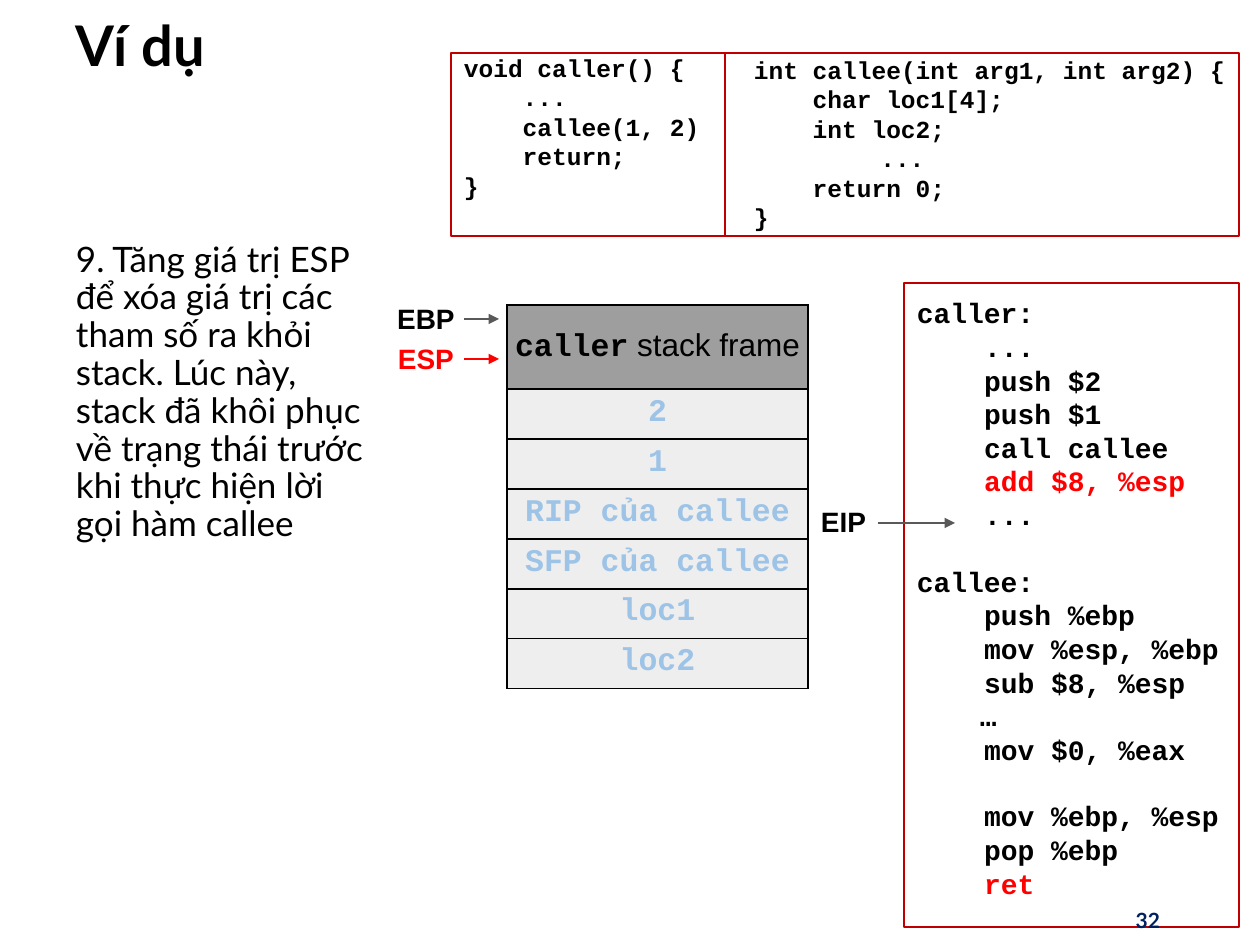
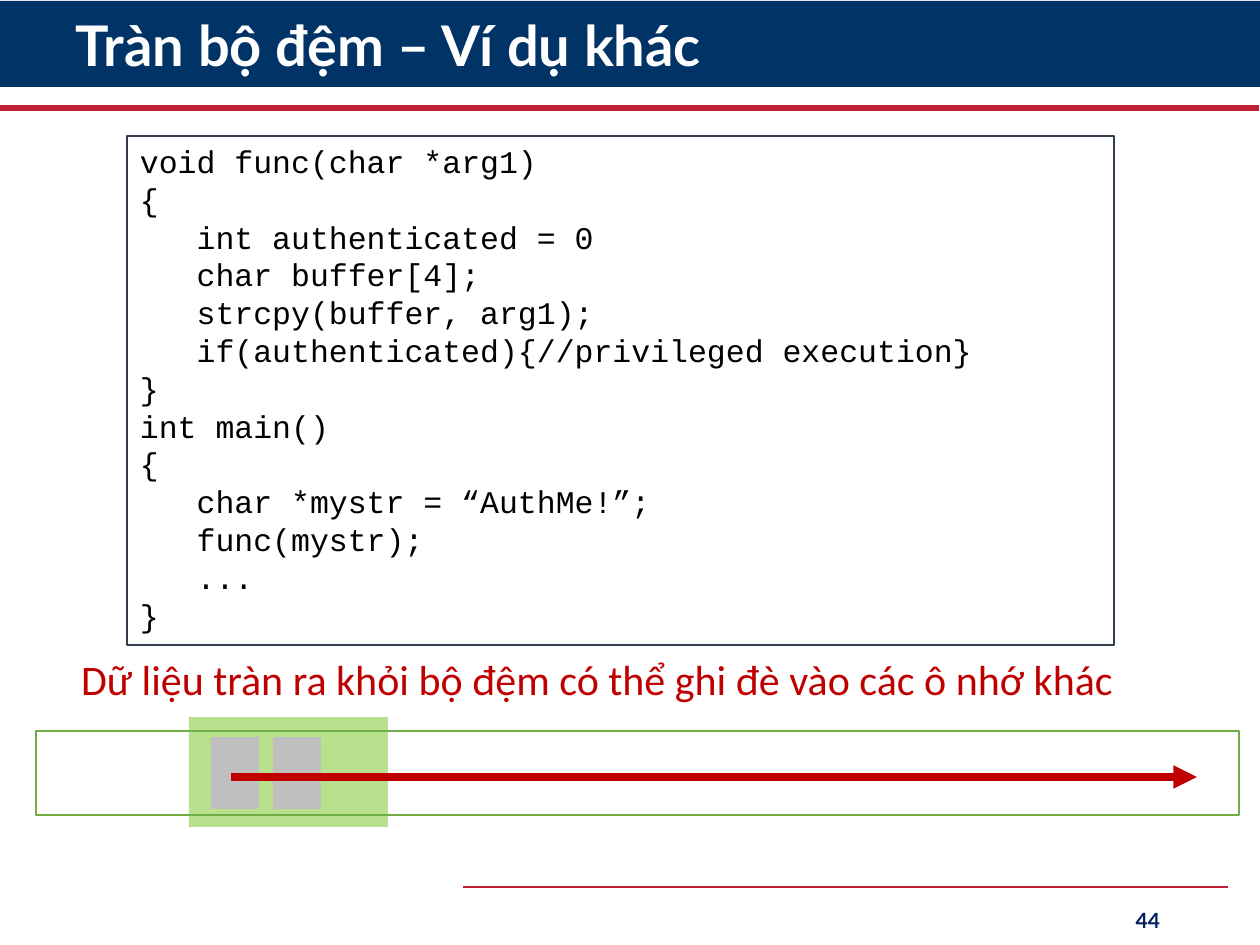
from collections import namedtuple

from lxml.etree import SubElement
from pptx import Presentation
from pptx.dml.color import RGBColor
from pptx.enum.shapes import MSO_CONNECTOR as Connector, MSO_SHAPE as Shape
from pptx.enum.text import MSO_ANCHOR as Anchor, PP_ALIGN as Align
from pptx.oxml import parse_xml
from pptx.oxml.ns import nsdecls, qn
from pptx.util import Pt

PX = 7257  # EMU per px, 126 px to the inch
MONO, SANS, HEAD = "Courier New", "Arial", "Lato"
BLACK, RED, CRIMSON, BRAND_RED = "000000", "FF0000", "C00000", "C02034"
rgb = RGBColor.from_string

# One line of text; indent counts monospaced characters, gap is points above
Line = namedtuple("Line", "indent text color gap", defaults=(None, 0))


def write(holder, lines, size=18, font=MONO, color=BLACK, bold=False,
          align=Align.LEFT, anchor=Anchor.TOP, inset=(13, 6), spacing=None):
    """Fill a text frame or a table cell and return its last paragraph."""
    holder.margin_left = holder.margin_right = inset[0] * PX
    holder.margin_top = holder.margin_bottom = inset[1] * PX
    holder.vertical_anchor = anchor
    frame = getattr(holder, "text_frame", holder)
    frame.word_wrap = True
    if isinstance(lines, str):
        lines = [Line(0, lines)]
    for number, line in enumerate(lines):
        paragraph = frame.add_paragraph() if number else frame.paragraphs[0]
        paragraph.alignment = align
        if spacing:
            paragraph.line_spacing = spacing
        if line.gap:
            paragraph.space_before = Pt(line.gap)
        if line.indent:
            properties = paragraph._p.get_or_add_pPr()
            properties.set("marL", str(int(Pt(line.indent * size * 0.6))))
            properties.set("indent", "0")
        run = paragraph.add_run()
        run.text = line.text
        run.font.size, run.font.name, run.font.bold = Pt(size), font, bold
        run.font.color.rgb = rgb(line.color or color)
    return paragraph


deck = Presentation()
deck.slide_width, deck.slide_height = 1260 * PX, 945 * PX
stack_slide, overflow_slide = [
    deck.slides.add_slide(deck.slide_layouts[6]) for _ in range(2)]

# Rectangles: slide, part, left, top, width, height, fill, outline, width
rectangles = [
    (stack_slide, "assembly", 904, 283, 335, 644, None, CRIMSON, 1),
    (stack_slide, "sources", 451, 53, 788, 183, None, CRIMSON, 1),
    (overflow_slide, "title band", 0, 1, 1260, 86, "003366", None, 0),
    (overflow_slide, "program", 127, 136, 987, 509, None, "333F50", 0.75),
    (overflow_slide, "buffer", 189, 717, 199, 110, "92D050", None, 0),
    (overflow_slide, "memory", 36, 731, 1203, 84, None, "70AD47", 1),
    (overflow_slide, "cell 1", 211, 737, 48, 72, "BFBFBF", None, 0),
    (overflow_slide, "cell 2", 273, 737, 48, 72, "BFBFBF", None, 0),
]
parts = {}
for slide, part, left, top, width, height, fill, outline, weight in rectangles:
    box = slide.shapes.add_shape(
        Shape.RECTANGLE, left * PX, top * PX, width * PX, height * PX)
    box.shadow.inherit = False
    if fill:
        box.fill.solid()
        box.fill.fore_color.rgb = rgb(fill)
    else:
        box.fill.background()
    if outline:
        box.line.color.rgb = rgb(outline)
        box.line.width = Pt(weight)
    else:
        box.line.fill.background()
    parts[part] = box

# The buffer is see-through
buffer_color = parts["buffer"]._element.spPr.find(qn("a:solidFill"))[0]
SubElement(buffer_color, qn("a:alpha")).set("val", "65000")

# Rules and arrows: slide, from, to, colour, width, arrowhead
rules = [
    (stack_slide, (725, 53), (725, 236), CRIMSON, 1, False),
    (stack_slide, (464, 319), (499, 319), "595959", 0.75, True),
    (stack_slide, (464, 359), (499, 359), RED, 1.5, True),
    (stack_slide, (878, 523), (955, 523), "595959", 0.75, True),
    (overflow_slide, (-1, 108), (1259, 108), BRAND_RED, 3.5, False),
    (overflow_slide, (463, 887), (1228, 887), BRAND_RED, 1.5, False),
    (overflow_slide, (231, 777), (1197, 777), CRIMSON, 4.5, True),
]
for slide, start, end, color, weight, arrow in rules:
    rule = slide.shapes.add_connector(
        Connector.STRAIGHT, *[length * PX for length in start + end])
    rule.line.color.rgb = rgb(color)
    rule.line.width = Pt(weight)
    if arrow:
        SubElement(rule.line._get_or_add_ln(), qn("a:tailEnd")).set("type", "triangle")
    SubElement(rule._element.spPr, qn("a:effectLst"))

# Code inside the framed boxes
write(parts["assembly"].text_frame, [
    Line(0, "caller:"),
    Line(4, "..."),
    Line(4, "push $2"),
    Line(4, "push $1"),
    Line(4, "call callee"),
    Line(4, "add $8, %esp", RED),
    Line(4, "..."),
    Line(0, "callee:", gap=19),
    Line(4, "push %ebp"),
    Line(4, "mov %esp, %ebp"),
    Line(4, "sub $8, %esp"),
    Line(3.75, "…"),
    Line(4, "mov $0, %eax"),
    Line(4, "mov %ebp, %esp", gap=19),
    Line(4, "pop %ebp"),
    Line(4, "ret", RED),
], size=16, bold=True, inset=(13, 13))
write(parts["program"].text_frame, [
    Line(0, "void func(char *arg1)"),
    Line(0, "{"),
    Line(3, "int authenticated = 0"),
    Line(3, "char buffer[4];"),
    Line(3, "strcpy(buffer, arg1);"),
    Line(3, "if(authenticated){//privileged execution}"),
    Line(0, "}"),
    Line(0, "int main()"),
    Line(0, "{"),
    Line(3, "char *mystr = “AuthMe!”;"),
    Line(3, "func(mystr);"),
    Line(3, "..."),
    Line(0, "}"),
])

# Formats and places shared by the text boxes
title = dict(size=32, font=HEAD, bold=True, anchor=Anchor.MIDDLE, spacing=0.9)
page = dict(size=12, font=HEAD, bold=True, color="002060",
            align=Align.RIGHT, anchor=Anchor.MIDDLE)
source = dict(size=14, bold=True, inset=(13, 13))
register = dict(size=16, font=SANS, bold=True, align=Align.CENTER, inset=(6, 6))
TITLE_AT, PAGE_AT = (63, 10, 1110, 77), (890, 895, 283, 50)

caller_code = [
    Line(0, "void caller() {"),
    Line(4, "..."),
    Line(4, "callee(1, 2)"),
    Line(4, "return;"),
    Line(0, "}"),
]
callee_code = [
    Line(0, "int callee(int arg1, int arg2) {"),
    Line(4, "char loc1[4];"),
    Line(4, "int loc2;"),
    Line(8.6, "..."),
    Line(4, "return 0;"),
    Line(0, "}"),
]
step = ("9. Tăng giá trị ESP để xóa giá trị các tham số ra khỏi stack. "
        "Lúc này, stack đã khôi phục về trạng thái trước khi thực hiện "
        "lời gọi hàm callee")
warning = "Dữ liệu tràn ra khỏi bộ đệm có thể ghi đè vào các ô nhớ khác"

# Text boxes: slide, place, text, format
captions = [
    (stack_slide, TITLE_AT, "Ví dụ", title),
    (stack_slide, (63, 236, 323, 656), step, dict(size=20, font=HEAD, spacing=0.9)),
    (stack_slide, PAGE_AT, "32", page),
    (stack_slide, (451, 40, 315, 149), caller_code, source),
    (stack_slide, (741, 42, 507, 204), callee_code, source),
    (stack_slide, (388, 296, 76, 47), "EBP", register),
    (stack_slide, (388, 336, 76, 47), "ESP", register | dict(color=RED)),
    (stack_slide, (809, 499, 69, 47), "EIP", register),
    (overflow_slide, TITLE_AT, "Tràn bộ đệm – Ví dụ khác", title | dict(color="FFFFFF")),
    (overflow_slide, PAGE_AT, "44", page),
    (overflow_slide, (68, 648, 1171, 63), warning,
     dict(size=24, font="Calibri", color=CRIMSON)),
]
for slide, place, text, style in captions:
    caption = slide.shapes.add_textbox(*[length * PX for length in place])
    write(caption.text_frame, text, **style)

# Stack table: the caller frame above the released slots
slots = ["caller", "2", "1", "RIP của callee", "SFP của callee", "loc1", "loc2"]
stack = stack_slide.shapes.add_table(
    len(slots), 1, 507 * PX, 305 * PX, 301 * PX, 386 * PX).table
stack.first_row = stack.horz_banding = False
for index, slot in enumerate(slots):
    is_frame = index == 0
    stack.rows[index].height = (84 if is_frame else 50) * PX
    cell = stack.cell(index, 0)
    label = write(cell, slot, bold=True, color=BLACK if is_frame else "9DC3E6",
                  align=Align.CENTER, inset=(6, 6),
                  anchor=Anchor.MIDDLE if is_frame else Anchor.TOP)
    if is_frame:
        suffix = label.add_run()
        suffix.text = " stack frame"
        suffix.font.size, suffix.font.name = Pt(18), SANS
        suffix.font.color.rgb = rgb(BLACK)
    cell.fill.solid()
    cell.fill.fore_color.rgb = rgb("9E9E9E" if is_frame else "EEEEEE")
    for position, side in enumerate("LRTB"):
        cell._tc.get_or_add_tcPr().insert(position, parse_xml(
            f'<a:ln{side} {nsdecls("a")} w="12700"><a:solidFill>'
            f'<a:srgbClr val="{BLACK}"/></a:solidFill></a:ln{side}>'))

deck.save("out.pptx")
